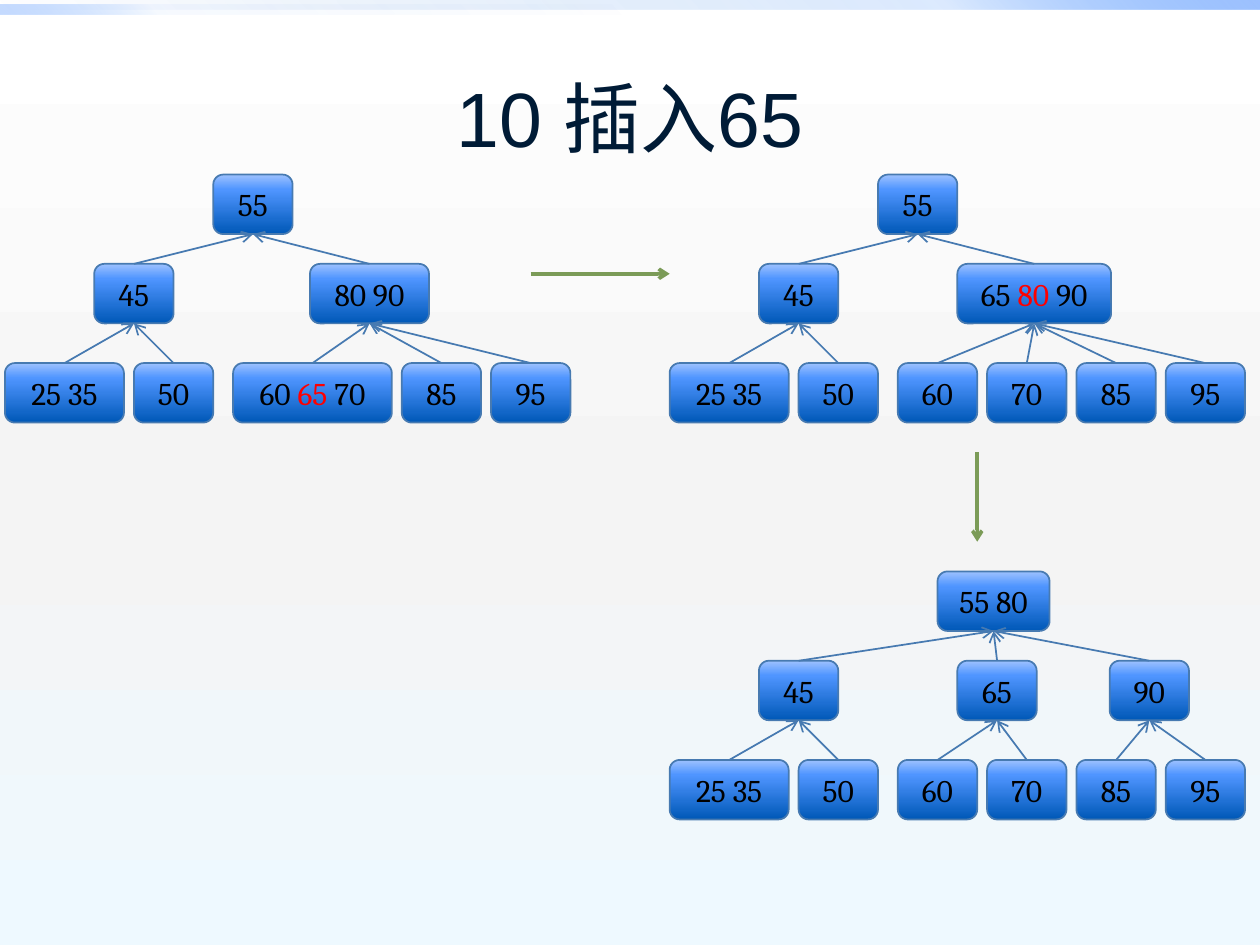
from dataclasses import dataclass

from lxml.etree import SubElement
from pptx import Presentation
from pptx.dml.color import RGBColor as RGB
from pptx.enum.shapes import MSO_CONNECTOR as CONN, MSO_SHAPE as SHAPE
from pptx.enum.text import MSO_ANCHOR as ANCHOR, PP_ALIGN as ALIGN
from pptx.oxml.ns import qn
from pptx.util import Cm, Pt


@dataclass(frozen=True)
class Theme:
    title_color: str = "001B36"
    key_color: str = "000000"
    marked_color: str = "FF0000"
    edge_color: str = "477AB1"
    step_color: str = "7B9B57"
    title_font: str = "Arial"
    key_font: str = "Cambria"
    title_size: int = 44
    key_size: int = 18
    edge_width: int = 1
    step_width: int = 2
    # Gradient stops: position %, colour, opacity %
    page: tuple = ((0, "FFFFFF", 100), (55, "F4F4F4", 100), (100, "EEF9FF", 100))
    node: tuple = ((0, "0058B7", 100), (75, "4F95FF", 100), (100, "9EC2FF", 100))
    top_bar: tuple = ((0, "0058B7", 0), (75, "4F95FF", 20), (100, "9EC2FF", 100))
    left_bar: tuple = ((0, "0058B7", 0), (75, "4F95FF", 5), (100, "9EC2FF", 60))


THEME = Theme()
NODE_HEIGHT = 1.2
LEVELS = (0, 1.8, 3.8)  # node tops below the top of the tree


@dataclass(frozen=True)
class Node:
    keys: str
    x: float  # from the left of the tree
    width: float = 1.6
    children: tuple = ()
    marked: str = ""


# The left branch is the same in all three trees
LEFT = Node("45", 1.8, children=(Node("25 35", 0, 2.4), Node("50", 2.6)))
N60, N70, N85, N95 = (Node(key, 4.6 + 1.8 * i)
                      for i, key in enumerate(("60", "70", "85", "95")))

INSERTED = Node("55", 4.2, children=(
    LEFT,
    Node("80 90", 6.15, 2.4, (
        Node("60 65 70", 4.6, 3.2, marked="65"),
        Node("85", 8), Node("95", 9.8)))))
LEAF_SPLIT = Node("55", 4.2, children=(
    LEFT, Node("65 80 90", 5.8, 3.1, (N60, N70, N85, N95), marked="80")))
ROOT_SPLIT = Node("55 80", 5.4, 2.26, (
    LEFT, Node("65", 5.8, children=(N60, N70)),
    Node("90", 8.87, children=(N85, N95))))


def fill_gradient(fill, element, stops, angle):
    """Fill with the given stops; the angle runs clockwise."""
    fill.gradient()
    fill.gradient_angle = (360 - angle) % 360
    gs_list = element.find(".//" + qn("a:gsLst"))
    for gs in list(gs_list):
        gs_list.remove(gs)
    for position, color, opacity in stops:
        gs = SubElement(gs_list, qn("a:gs"), pos=str(position * 1000))
        clr = SubElement(gs, qn("a:srgbClr"), val=color)
        if opacity < 100:
            SubElement(clr, qn("a:alpha"), val=str(opacity * 1000))


def add_box(slide, kind, x, y, width, height, stops, angle):
    sp = slide.shapes.add_shape(kind, Cm(x), Cm(y), Cm(width), Cm(height))
    sp.shadow.inherit = False
    fill_gradient(sp.fill, sp._element, stops, angle)
    sp.line.fill.background()
    return sp


def style_text(tf, font, size, color):
    tf.word_wrap = True
    tf.vertical_anchor = ANCHOR.MIDDLE
    p = tf.paragraphs[0]
    p.alignment = ALIGN.CENTER
    p.font.name = font
    p.font.size = Pt(size)
    p.font.color.rgb = RGB.from_string(color)
    return p


def add_title(slide, text):
    sp = slide.shapes.add_textbox(Cm(1.27), Cm(0.76), Cm(22.86), Cm(3.18))
    p = style_text(sp.text_frame, THEME.title_font, THEME.title_size,
                   THEME.title_color)
    p.add_run().text = text


def add_arrow(slide, start, end, color, width):
    line = slide.shapes.add_connector(
        CONN.STRAIGHT, *(Cm(v) for v in (*start, *end)))
    line.line.color.rgb = RGB.from_string(color)
    line.line.width = Pt(width)
    sp_pr = line._element.spPr
    SubElement(sp_pr.find(qn("a:ln")), qn("a:tailEnd"), type="arrow")
    SubElement(sp_pr, qn("a:effectLst"))
    return line


def add_node(slide, node, x, y):
    sp = add_box(slide, SHAPE.ROUNDED_RECTANGLE, x, y, node.width, NODE_HEIGHT,
                 THEME.node, 270)
    sp.line.color.rgb = RGB.from_string(THEME.edge_color)
    sp.line.width = Pt(THEME.edge_width)
    p = style_text(sp.text_frame, THEME.key_font, THEME.key_size,
                   THEME.key_color)
    if not node.marked:
        p.add_run().text = node.keys
        return sp
    before, after = node.keys.split(node.marked)
    for text in (before, node.marked, after):
        r = p.add_run()
        r.text = text
        color = THEME.marked_color if text == node.marked else THEME.key_color
        r.font.color.rgb = RGB.from_string(color)
    return sp


def add_tree(slide, node, left, top, level=0):
    """Draw a node, its subtrees, and an arrow from each child to it."""
    parent = add_node(slide, node, left + node.x, top + LEVELS[level])
    for child in node.children:
        sp = add_tree(slide, child, left, top, level + 1)
        edge = add_arrow(slide, (0, 0), (0, 0), THEME.edge_color,
                         THEME.edge_width)
        edge.begin_connect(sp, 0)
        edge.end_connect(parent, 2)
    return parent


def main():
    prs = Presentation()
    prs.slide_width, prs.slide_height = Cm(25.4), Cm(19.05)
    s = prs.slides.add_slide(prs.slide_layouts[6])

    # Background and top bars
    fill_gradient(s.background.fill, s._element, THEME.page, 90)
    add_box(s, SHAPE.RECTANGLE, 0, 0, 25.4, 0.2, THEME.top_bar, 315)
    add_box(s, SHAPE.RECTANGLE, 0, 0.1, 12.7, 0.2, THEME.left_bar, 135)

    add_title(s, "10 插入65")

    # Trees, one for each stage of the insertion
    add_tree(s, INSERTED, 0.1, 3.52)
    add_tree(s, LEAF_SPLIT, 13.5, 3.52)
    add_tree(s, ROOT_SPLIT, 13.5, 11.52)

    # Arrows from stage to stage
    for start, end in (((10.7, 5.52), (13.5, 5.52)),
                       ((19.7, 9.12), (19.7, 10.92))):
        add_arrow(s, start, end, THEME.step_color, THEME.step_width)

    prs.save("out.pptx")


if __name__ == "__main__":
    main()
